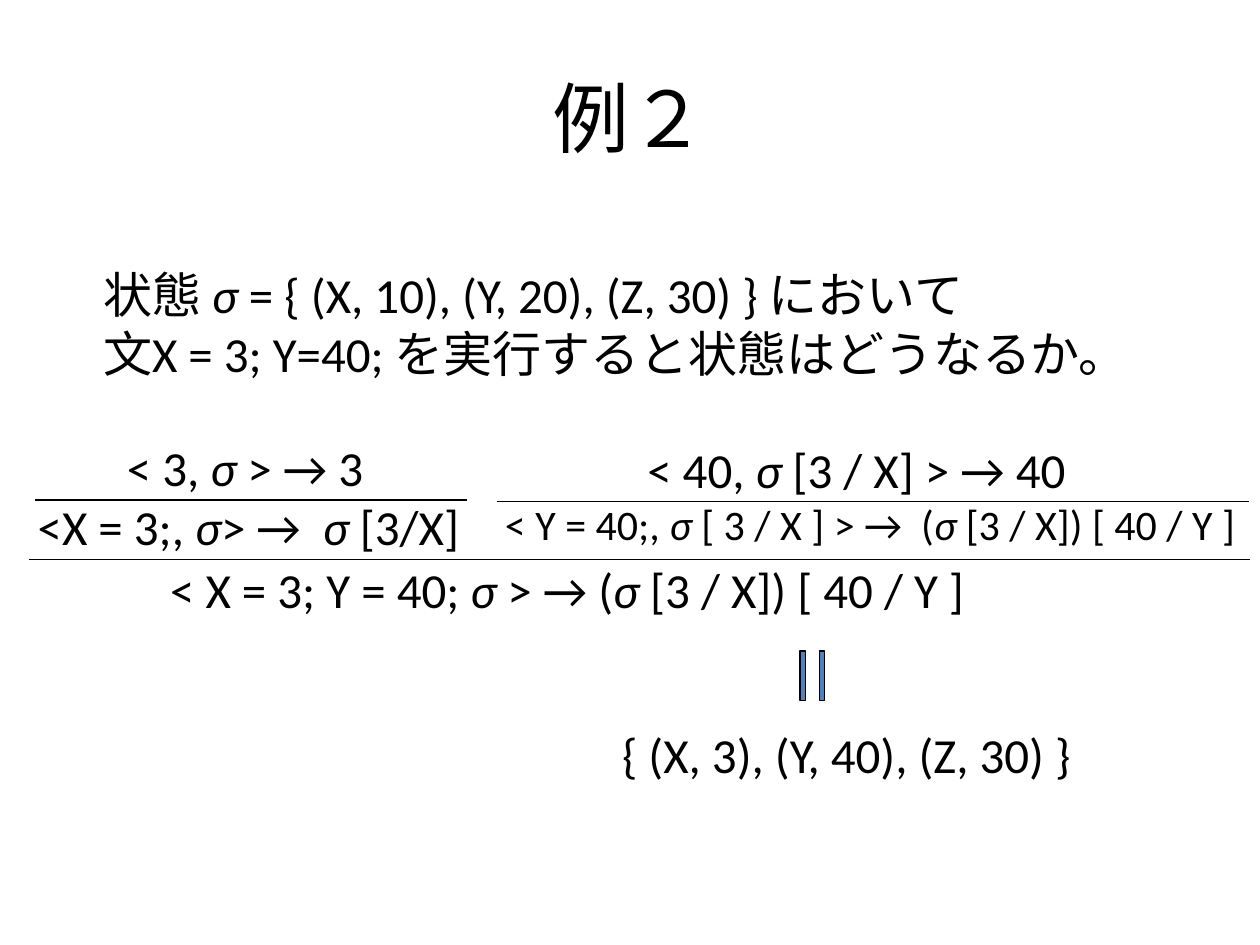
"""Build the slide that derives the state after two assignments."""
from pptx import Presentation
from pptx.dml.color import RGBColor
from pptx.enum.shapes import MSO_CONNECTOR, MSO_SHAPE
from pptx.enum.text import MSO_ANCHOR, PP_ALIGN
from pptx.oxml.ns import qn
from pptx.util import Cm, Pt
from lxml.etree import SubElement

BLACK = RGBColor(0x00, 0x00, 0x00)
BLUE = RGBColor(0x4F, 0x81, 0xBD)
FONT = "Calibri"
SIGMA = "σ"


def style(font, size, slant=False):
    """Apply the slide's font to a run or paragraph."""
    font.name = FONT
    font.size = Pt(size)
    font.italic = slant
    font.color.rgb = BLACK


def fill_line(para, text, size):
    """Write one line of text with every sigma in italics."""
    for part in text.replace(SIGMA, f"|{SIGMA}|").split("|"):
        if part:
            run = para.add_run()
            run.text = part
            style(run.font, size, part == SIGMA)


def add_text(slide, box, lines):
    """Add a text box from (text, size, indent in cm) lines."""
    frame = slide.shapes.add_textbox(*map(Cm, box)).text_frame
    frame.word_wrap = True
    for i, (text, size, indent) in enumerate(lines):
        para = frame.add_paragraph() if i else frame.paragraphs[0]
        if indent:
            para._p.get_or_add_pPr().set("marL", str(Cm(indent)))
        fill_line(para, text, size)
    return frame


def add_title(slide, text):
    """Add the centred title."""
    frame = add_text(slide, (1.27, 0.76, 22.86, 3.18), [(text, 44, 0)])
    frame.vertical_anchor = MSO_ANCHOR.MIDDLE
    frame.paragraphs[0].alignment = PP_ALIGN.CENTER


def add_rule(slide, left, right, top):
    """Add a horizontal inference line."""
    rule = slide.shapes.add_connector(
        MSO_CONNECTOR.STRAIGHT, Cm(left), Cm(top), Cm(right), Cm(top))
    rule.line.color.rgb = BLACK
    rule.line.width = Pt(0.75)
    SubElement(rule._element.spPr, qn("a:effectLst"))


def add_equal(slide):
    """Add the upright equals sign."""
    sign = slide.shapes.add_shape(
        MSO_SHAPE.MATH_EQUAL, Cm(15.7), Cm(13.11), Cm(1.35), Cm(1.02))
    sign.rotation = 270
    sign.adjustments[0] = 0.104
    sign.adjustments[1] = 0.276
    sign.shadow.inherit = False
    sign.fill.solid()
    sign.fill.fore_color.rgb = BLUE
    sign.line.color.rgb = BLACK
    sign.line.width = Pt(0.75)


def main():
    """Build and save the slide."""
    deck = Presentation()
    deck.slide_width, deck.slide_height = Cm(25.4), Cm(19.05)
    slide = deck.slides.add_slide(deck.slide_layouts[6])
    add_title(slide, "例２")
    add_text(slide, (1.83, 5.21, 21.6, 2.64), [
        ("状態 σ = { (X, 10), (Y, 20), (Z, 30) } において", 28, 0),
        ("文X = 3; Y=40; を実行すると状態はどうなるか。", 28, 0)])
    add_text(slide, (0.51, 8.69, 9.32, 2.64), [
        ("< 3, σ > → 3", 28, 1.8),
        ("<X = 3;, σ> →  σ [3/X]", 28, 0)])
    add_text(slide, (9.93, 8.74, 15.88, 2.49), [
        ("< 40, σ [3 / X] > → 40", 28, 2.87),
        ("< Y = 40;, σ [ 3 / X ] > →  (σ [3 / X]) [ 40 / Y ]", 24, 0)])
    add_text(slide, (3.18, 11.15, 17.35, 1.45), [
        ("< X = 3; Y = 40; σ > → (σ [3 / X]) [ 40 / Y ]", 28, 0)])
    add_text(slide, (12.29, 14.48, 11.07, 1.45), [
        ("{ (X, 3), (Y, 40), (Z, 30) }", 28, 0)])
    add_rule(slide, 0.71, 9.42, 10.08)
    add_rule(slide, 10.01, 25.17, 10.11)
    add_rule(slide, 0.58, 25.2, 11.28)
    add_equal(slide)
    deck.save("out.pptx")


if __name__ == "__main__":
    main()
